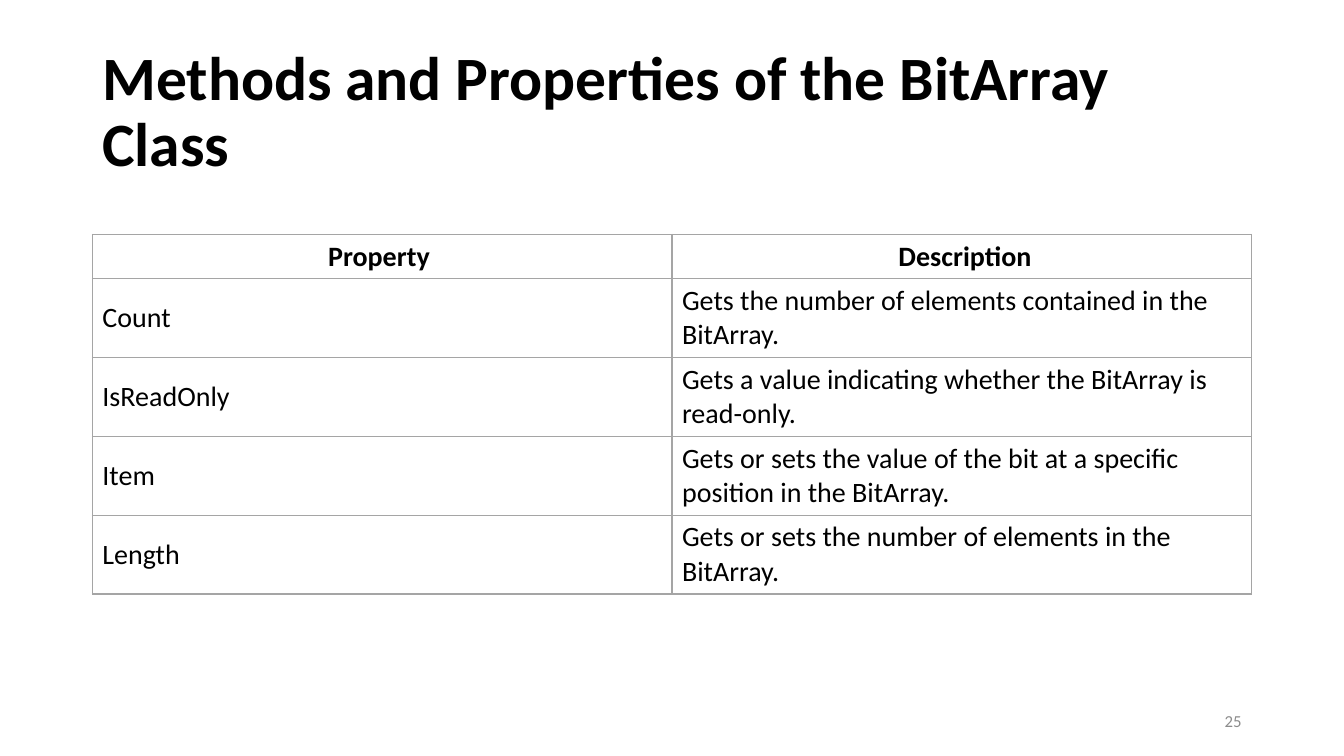
from dataclasses import dataclass

from lxml.etree import SubElement
from pptx import Presentation
from pptx.dml.color import RGBColor
from pptx.enum.text import MSO_ANCHOR as Anchor, PP_ALIGN as Align
from pptx.oxml.ns import qn
from pptx.util import Pt

FONT = "Calibri"
BLACK, WHITE, GRAY, BORDER = "000000", "FFFFFF", "8C8C8C", "A5A5A5"
LEFT, WIDTH = 66, 828
TABLE_TOP, HEADER_HEIGHT, ROW_HEIGHT = 167.5, 31.6, 56.3


@dataclass
class Label:
    text: str
    left: float
    top: float
    width: float
    height: float
    size: float
    color: str = BLACK
    bold: bool = False
    align: Align = Align.LEFT
    spacing: float = 1.0


LABELS = [
    Label("Methods and Properties of the BitArray Class",
          LEFT, 28.8, WIDTH, 104.4, 44, bold=True, spacing=0.9),
    Label("25", 678, 500.5, 216, 28.8, 12, GRAY, align=Align.RIGHT),
]

ROWS = [
    ("Property ", " Description"),
    ("Count", "Gets the number of elements contained in the BitArray."),
    ("IsReadOnly", "Gets a value indicating whether the BitArray is read-only."),
    ("Item", "Gets or sets the value of the bit at a specific position in the BitArray."),
    ("Length", "Gets or sets the number of elements in the BitArray."),
]


def rgb(color: str) -> RGBColor:
    return RGBColor.from_string(color)


def style_text(p, size: float, color: str, bold: bool, align: Align) -> None:
    p.alignment = align
    for r in p.runs:
        r.font.name, r.font.size, r.font.bold = FONT, Pt(size), bold
        r.font.color.rgb = rgb(color)


def add_label(slide, label: Label) -> None:
    box = slide.shapes.add_textbox(Pt(label.left), Pt(label.top),
                                   Pt(label.width), Pt(label.height))
    tf = box.text_frame
    tf.word_wrap = True
    tf.vertical_anchor = Anchor.MIDDLE
    tf.text = label.text
    p = tf.paragraphs[0]
    p.line_spacing = label.spacing
    style_text(p, label.size, label.color, label.bold, label.align)


def set_borders(cell, color: str, width: float) -> None:
    props = cell._tc.get_or_add_tcPr()
    for side in ("lnL", "lnR", "lnT", "lnB"):
        line = SubElement(props, qn(f"a:{side}"), w=str(Pt(width)))
        fill = SubElement(line, qn("a:solidFill"))
        SubElement(fill, qn("a:srgbClr"), val=color)


def add_property_table(slide, rows: list[tuple[str, str]]) -> None:
    heights = [HEADER_HEIGHT] + [ROW_HEIGHT] * (len(rows) - 1)
    frame = slide.shapes.add_table(len(rows), len(rows[0]), Pt(LEFT), Pt(TABLE_TOP),
                                   Pt(WIDTH), Pt(sum(heights)))
    table = frame.table
    table.first_row = table.horz_banding = False
    for i, (texts, height) in enumerate(zip(rows, heights)):
        table.rows[i].height = Pt(height)
        header = i == 0
        for j, text in enumerate(texts):
            cell = table.cell(i, j)
            cell.text = text
            cell.vertical_anchor = Anchor.MIDDLE
            set_borders(cell, BORDER, 1)
            cell.fill.solid()
            cell.fill.fore_color.rgb = rgb(WHITE)
            style_text(cell.text_frame.paragraphs[0], 20, BLACK, header,
                       Align.CENTER if header else Align.LEFT)


prs = Presentation()
prs.slide_width, prs.slide_height = Pt(960), Pt(540)
s = prs.slides.add_slide(prs.slide_layouts[6])

# Title and slide number
for label in LABELS:
    add_label(s, label)

# Table of properties
add_property_table(s, ROWS)

prs.save("out.pptx")
